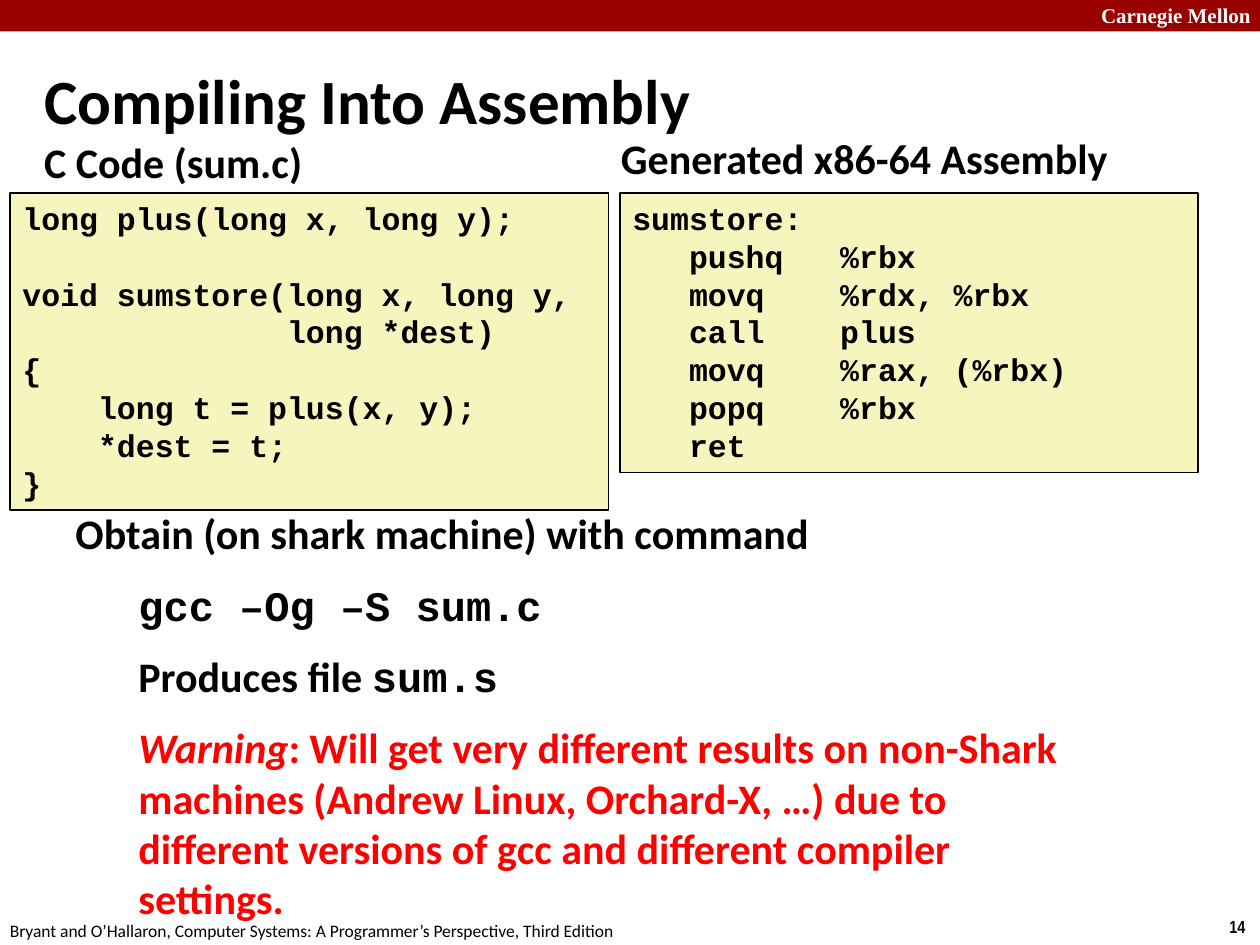
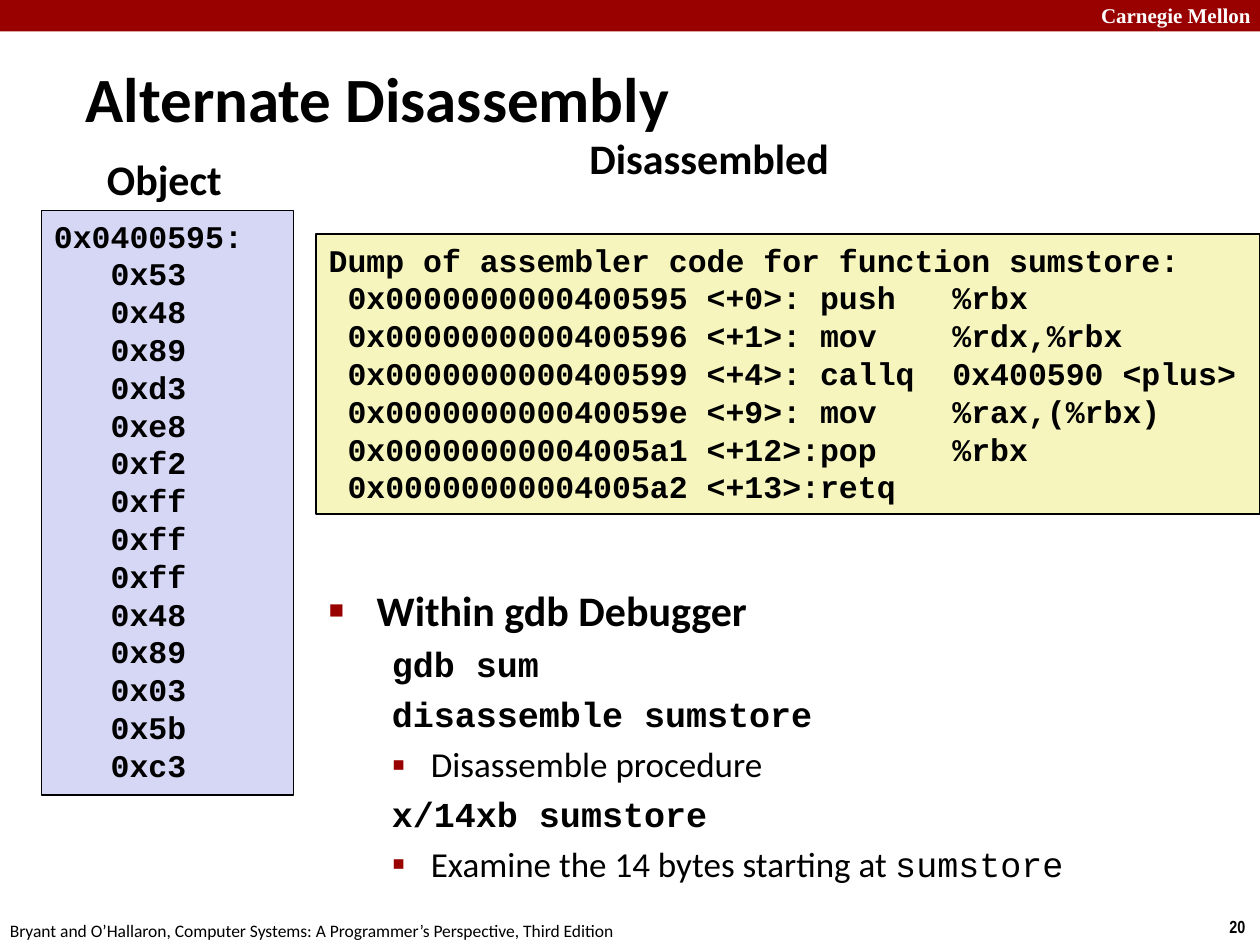
"""Build two slides on compiling C into assembly and disassembling it."""
from dataclasses import dataclass

from lxml import etree
from pptx import Presentation
from pptx.dml.color import RGBColor
from pptx.enum.shapes import MSO_SHAPE
from pptx.enum.text import MSO_ANCHOR, MSO_AUTO_SIZE, PP_ALIGN
from pptx.oxml.ns import qn
from pptx.util import Inches, Pt

RECT = MSO_SHAPE.RECTANGLE
TOP, MIDDLE = MSO_ANCHOR.TOP, MSO_ANCHOR.MIDDLE
LEFT = PP_ALIGN.LEFT
NO_FIT = MSO_AUTO_SIZE.NONE

BLACK = RGBColor(0x00, 0x00, 0x00)
WHITE = RGBColor(0xFF, 0xFF, 0xFF)
CRIMSON = RGBColor(0x99, 0x00, 0x00)
RED = RGBColor(0xFF, 0x00, 0x00)
CREAM = RGBColor(0xF6, 0xF5, 0xBD)
LAVENDER = RGBColor(0xD6, 0xD6, 0xF5)

SANS, MONO, SERIF, NARROW = "Calibri", "Courier New", "Times New Roman", "Arial Narrow"
SCHOOL = "Carnegie Mellon"
BOOK = "Bryant and O’Hallaron, Computer Systems: A Programmer’s Perspective, Third Edition"

C_CODE = """long plus(long x, long y);

void sumstore(long x, long y,
              long *dest)
{
    long t = plus(x, y);
    *dest = t;
}"""
ASSEMBLY = """sumstore:
   pushq   %rbx
   movq    %rdx, %rbx
   call    plus
   movq    %rax, (%rbx)
   popq    %rbx
   ret"""
DUMP = """Dump of assembler code for function sumstore:
 0x0000000000400595 <+0>: push   %rbx
 0x0000000000400596 <+1>: mov    %rdx,%rbx
 0x0000000000400599 <+4>: callq  0x400590 <plus>
 0x000000000040059e <+9>: mov    %rax,(%rbx)
 0x00000000004005a1 <+12>:pop    %rbx
 0x00000000004005a2 <+13>:retq"""
OBJECT_BYTES = "53 48 89 d3 e8 f2 ff ff ff 48 89 03 5b c3".split()
OBJECT_CODE = "\n".join(["0x0400595:"] + [f"   0x{byte}" for byte in OBJECT_BYTES])


@dataclass(frozen=True)
class Box:
    """A place on the slide, in inches."""
    left: float
    top: float
    width: float
    height: float

    def lengths(self) -> tuple:
        """Return the place as slide lengths."""
        return tuple(Inches(v) for v in (self.left, self.top, self.width, self.height))


@dataclass(frozen=True)
class Run:
    """A stretch of text in one format."""
    text: str
    size: float = 24
    font: str = SANS
    color: RGBColor = BLACK
    bold: bool = True
    italic: bool = False


@dataclass(frozen=True)
class Bullet:
    """A list marker and its size in percent."""
    char: str
    percent: int


@dataclass(frozen=True)
class Para:
    """A paragraph with its indents in inches and space before in points."""
    runs: tuple[Run, ...]
    margin: float = 0
    indent: float = 0
    before: float = 0
    level: int = 0
    bullet: Bullet | None = None


@dataclass(frozen=True)
class CodePanel:
    """A filled panel of code."""
    box: Box
    code: str
    fill: RGBColor = CREAM


SQUARE = Bullet("■", 60)
SMALL_SQUARE = Bullet("▪", 110)


def set_bullet(p, bullet: Bullet | None) -> None:
    """Give a paragraph its marker, or none."""
    pr = p._p.get_or_add_pPr()
    if bullet is None:
        etree.SubElement(pr, qn("a:buNone"))
        return
    color = etree.SubElement(pr, qn("a:buClr"))
    etree.SubElement(color, qn("a:srgbClr"), val=str(CRIMSON))
    etree.SubElement(pr, qn("a:buSzPct"), val=str(bullet.percent * 1000))
    etree.SubElement(pr, qn("a:buFont"), typeface="Arial")
    etree.SubElement(pr, qn("a:buChar"), char=bullet.char)


def write(tf, paras: list[Para], anchor=TOP, wrap: bool = True) -> None:
    """Fill a text frame with formatted paragraphs."""
    tf.auto_size = NO_FIT
    tf.word_wrap = wrap
    tf.vertical_anchor = anchor
    tf.margin_left = tf.margin_right = Inches(0.1)
    tf.margin_top = tf.margin_bottom = Inches(0.05)
    for i, para in enumerate(paras):
        p = tf.add_paragraph() if i else tf.paragraphs[0]
        set_bullet(p, para.bullet)
        pr = p._p.get_or_add_pPr()
        pr.set("marL", str(Inches(para.margin)))
        pr.set("indent", str(Inches(para.indent)))
        p.level = para.level
        p.alignment = LEFT
        p.space_before = Pt(para.before)
        for run in para.runs:
            r = p.add_run()
            r.text = run.text
            r.font.size = Pt(run.size)
            r.font.name = run.font
            r.font.color.rgb = run.color
            r.font.bold = run.bold
            r.font.italic = run.italic


def add_text(s, box: Box, paras: list[Para], wrap: bool = True) -> None:
    """Add a text box."""
    write(s.shapes.add_textbox(*box.lengths()).text_frame, paras, wrap=wrap)


def add_heading(s, box: Box, text: str) -> None:
    """Add the heading above a code panel."""
    add_text(s, box, [Para((Run(text),))])


def add_rect(s, box: Box, fill: RGBColor):
    """Add a plain filled rectangle without outline."""
    sp = s.shapes.add_shape(RECT, *box.lengths())
    sp.shadow.inherit = False
    sp.fill.solid()
    sp.fill.fore_color.rgb = fill
    sp.line.fill.background()
    return sp


def add_code(s, panel: CodePanel) -> None:
    """Add an outlined panel of code."""
    sp = add_rect(s, panel.box, panel.fill)
    sp.line.color.rgb = BLACK
    sp.line.width = Pt(1)
    lines = panel.code.split("\n")
    write(sp.text_frame, [Para((Run(line, 18, MONO),)) for line in lines])


def fill_placeholder(sp, box: Box, paras: list[Para], anchor=TOP) -> None:
    """Move a placeholder and write its text."""
    sp.left, sp.top, sp.width, sp.height = box.lengths()
    write(sp.text_frame, paras, anchor)


def new_slide(prs, number: int, title: str, title_box: Box):
    """Add a slide with its title, top band and footer."""
    s = prs.slides.add_slide(prs.slide_layouts[1])
    add_rect(s, Box(0, 0, 10, 0.25), CRIMSON)
    add_text(s, Box(8.64, -0.03, 1.43, 0.3), [Para((Run(SCHOOL, 12, SERIF, WHITE),))])
    add_text(s, Box(9.66, 7.22, 0.34, 0.27), [Para((Run(str(number), 10, NARROW),))], wrap=False)
    add_text(s, Box(-0.02, 7.25, 5.08, 0.27), [Para((Run(BOOK, 10, bold=False),))], wrap=False)
    fill_placeholder(s.shapes.title, title_box,
                     [Para((Run(title, 36),), 0.13, -0.13)], MIDDLE)
    return s


def build_compiling(prs) -> None:
    """Build the slide that compiles C into assembly."""
    s = new_slide(prs, 14, "Compiling Into Assembly", Box(0.25, 0.48, 7.49, 0.61))
    fill_placeholder(s.placeholders[1], Box(0.25, 1.03, 2.67, 0.4),
                     [Para((Run("C Code (sum.c)"),), 0.38, -0.38)])
    add_heading(s, Box(4.83, 1, 4.5, 0.45), "Generated x86-64 Assembly")
    add_code(s, CodePanel(Box(0.08, 1.53, 4.75, 2.52), C_CODE))
    add_code(s, CodePanel(Box(4.92, 1.53, 4.59, 2.22), ASSEMBLY))
    warning = (
        Run("Warning", color=RED, italic=True),
        Run(": Will get very different results on non-Shark machines (Andrew Linux, "
            "Orchard-X, …) due to different versions of gcc and different compiler "
            "settings.", color=RED),
    )
    steps = [
        (Run("gcc –Og –S sum.c", font=MONO),),
        (Run("Produces file "), Run("sum.s", font=MONO)),
        warning,
    ]
    add_text(s, Box(0.5, 3.98, 8.17, 3.73),
             [Para((Run("Obtain (on shark machine) with command"),))]
             + [Para(runs, 0.5, before=12, level=1) for runs in steps])


def build_disassembly(prs) -> None:
    """Build the slide that disassembles with the debugger."""
    s = new_slide(prs, 20, "Alternate Disassembly", Box(0.58, 0.46, 6.83, 0.63))
    add_heading(s, Box(4.58, 1, 2.85, 0.45), "Disassembled")
    add_heading(s, Box(0.75, 1.17, 1.43, 0.45), "Object")
    add_code(s, CodePanel(Box(2.51, 1.86, 7.49, 2.22), DUMP))
    add_code(s, CodePanel(Box(0.33, 1.67, 2, 4.64), OBJECT_CODE, LAVENDER))

    def command(text: str) -> Para:
        """Return a debugger command line."""
        return Para((Run(text, 20, MONO),), 0.81, -0.31, 4.5, 1)

    def remark(*runs: Run) -> Para:
        """Return a bulleted remark on a command."""
        return Para(runs, 0.81, -0.31, 4.5, 1, SMALL_SQUARE)

    fill_placeholder(s.placeholders[1], Box(2.51, 4.59, 6.89, 2.46), [
        Para((Run("Within gdb Debugger"),), 0.38, -0.38, bullet=SQUARE),
        command("gdb sum"),
        command("disassemble sumstore"),
        remark(Run("Disassemble procedure", 20, bold=False)),
        command("x/14xb sumstore"),
        remark(Run("Examine the 14 bytes starting at ", 20, bold=False),
               Run("sumstore", 20, MONO, bold=False)),
    ])


def main() -> None:
    """Build and save the presentation."""
    prs = Presentation()
    prs.slide_width, prs.slide_height = Inches(10), Inches(7.5)
    build_compiling(prs)
    build_disassembly(prs)
    prs.save("out.pptx")


if __name__ == "__main__":
    main()
